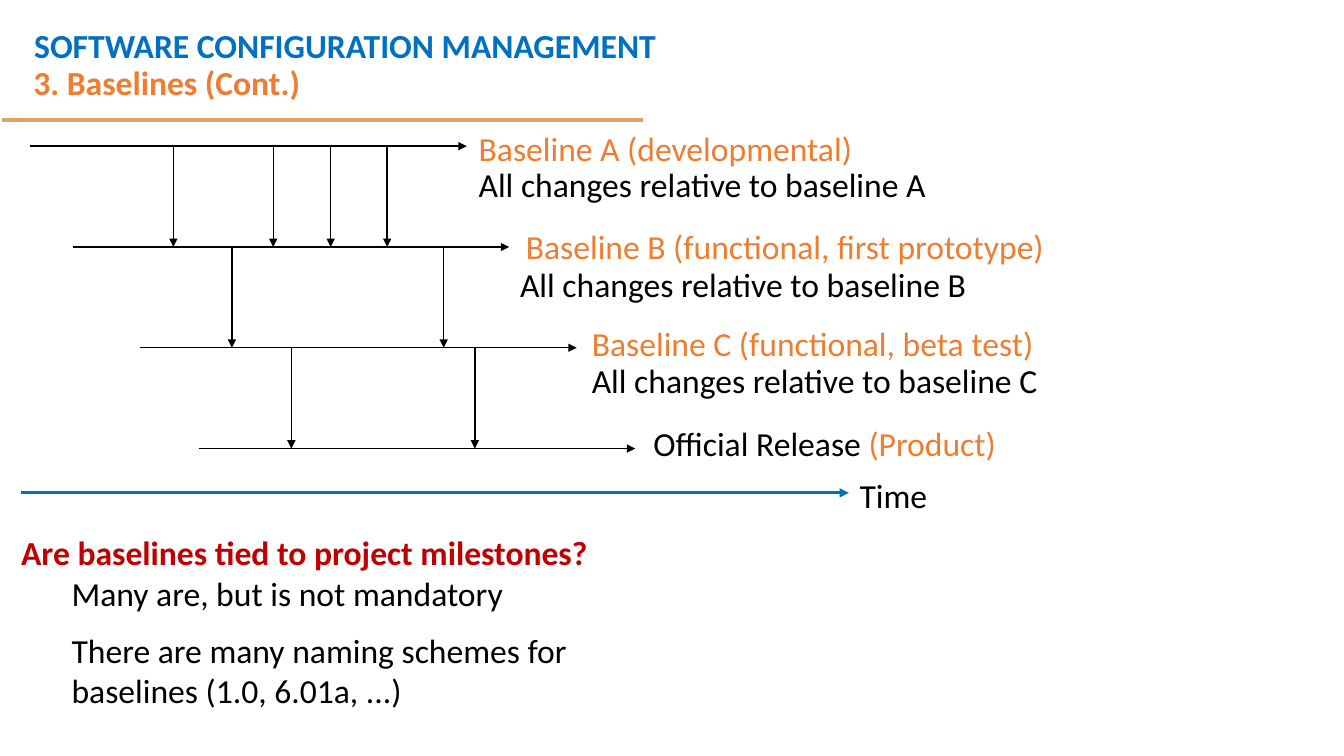
from dataclasses import dataclass

from lxml import etree
from pptx import Presentation
from pptx.dml.color import RGBColor
from pptx.enum.shapes import MSO_CONNECTOR
from pptx.enum.text import MSO_ANCHOR, MSO_AUTO_SIZE, PP_ALIGN
from pptx.oxml.ns import qn
from pptx.util import Inches, Pt

LEFT, CENTER = PP_ALIGN.LEFT, PP_ALIGN.CENTER
TOP, MIDDLE = MSO_ANCHOR.TOP, MSO_ANCHOR.MIDDLE
STRAIGHT = MSO_CONNECTOR.STRAIGHT
NO_AUTOFIT = MSO_AUTO_SIZE.NONE

BLACK, BLUE, ORANGE = "000000", "0070C0", "ED7D31"
RED, SAND = "C00000", "DFA267"

FIRST_ROW, ROW_GAP = 1.45, 1.0
TIMELINE_LENGTH = 4.33
LABEL_HEIGHT = 0.5


@dataclass
class Span:
    text: str
    color: str = BLACK
    bold: bool = False


@dataclass
class Timeline:
    start: float
    drops: tuple[float, ...] = ()


@dataclass
class Label:
    left: float
    top: float
    width: float
    spans: tuple[Span, ...]


@dataclass
class Item:
    span: Span
    level: int = 0
    space_before: float = 0


TIMELINES = (
    Timeline(0.3, (1.72, 2.71, 3.28, 3.84)),
    Timeline(0.72, (2.3, 4.4)),
    Timeline(1.39, (2.89, 4.71)),
    Timeline(1.97),
)

LABELS = (
    Label(4.63, 1.22, 3.94, (Span("Baseline A (developmental)", ORANGE),)),
    Label(4.38, 1.58, 5.17, (Span("All changes relative to baseline A"),)),
    Label(5.09, 2.19, 5.39, (Span("Baseline B (functional, first prototype)", ORANGE),)),
    Label(4.71, 2.57, 5.32, (Span("All changes relative to baseline B"),)),
    Label(5.75, 3.15, 4.62, (Span("Baseline C (functional, beta test)", ORANGE),)),
    Label(5.53, 3.52, 5.1, (Span("All changes relative to baseline C"),)),
    Label(6.36, 4.15, 3.64, (Span("Official Release "), Span("(Product)", ORANGE))),
    Label(8.42, 4.66, 0.88, (Span("Time"),)),
)

ITEMS = (
    Item(Span("Are baselines tied to project milestones?", RED, True)),
    Item(Span("Many are, but is not mandatory"), 1),
    Item(Span("There are many naming schemes for baselines (1.0, 6.01a, ...)"), 1, 12),
)


def rgb(color: str) -> RGBColor:
    return RGBColor.from_string(color)


def place(shape, left: float, top: float, width: float, height: float) -> None:
    shape.left, shape.top = Inches(left), Inches(top)
    shape.width, shape.height = Inches(width), Inches(height)


def prepare_frame(shape, anchor):
    frame = shape.text_frame
    frame.word_wrap = True
    frame.auto_size = NO_AUTOFIT
    frame.vertical_anchor = anchor
    return frame


def write_spans(para, spans: tuple[Span, ...], align=LEFT, line_spacing: float = 1.0) -> None:
    para.alignment = align
    para.line_spacing = line_spacing
    for span in spans:
        run = para.add_run()
        run.text = span.text
        run.font.name = "Calibri"
        run.font.size = Pt(24)
        run.font.bold = span.bold
        run.font.color.rgb = rgb(span.color)


def add_text(page, left: float, top: float, width: float, height: float,
             spans: tuple[Span, ...], anchor=MIDDLE, align=CENTER,
             line_spacing: float = 1.0) -> None:
    box = page.shapes.add_textbox(Inches(left), Inches(top), Inches(width), Inches(height))
    frame = prepare_frame(box, anchor)
    write_spans(frame.paragraphs[0], spans, align, line_spacing)


def add_line(page, start: tuple[float, float], end: tuple[float, float],
             color: str = BLACK, width: float = 1, arrow: bool = True) -> None:
    line = page.shapes.add_connector(STRAIGHT, *map(Inches, start + end))
    line.line.color.rgb = rgb(color)
    line.line.width = Pt(width)
    if arrow:
        etree.SubElement(line.line._get_or_add_ln(), qn("a:tailEnd"), type="triangle")
    etree.SubElement(line._element.spPr, qn("a:effectLst"))


def add_heading(page) -> None:
    add_text(page, 0.24, 0, 6.71, 0.64,
             (Span("SOFTWARE CONFIGURATION MANAGEMENT", BLUE, True),), TOP, LEFT, 1.5)
    add_line(page, (0.02, 1.19), (6.38, 1.19), SAND, 3, arrow=False)
    title = page.shapes.title
    place(title, 0.23, 0.53, 9.39, 0.61)
    frame = prepare_frame(title, MIDDLE)
    write_spans(frame.paragraphs[0], (Span("3. Baselines (Cont.)", ORANGE, True),),
                line_spacing=0.9)


def add_diagram(page) -> None:
    for row, timeline in enumerate(TIMELINES):
        y = FIRST_ROW + row * ROW_GAP
        add_line(page, (timeline.start, y), (timeline.start + TIMELINE_LENGTH, y))
        for x in timeline.drops:
            add_line(page, (x, y), (x, y + ROW_GAP))
    add_line(page, (0.21, 4.89), (8.42, 4.89), BLUE, 2.25)
    for label in LABELS:
        add_text(page, label.left, label.top, label.width, LABEL_HEIGHT, label.spans)


def add_question(page) -> None:
    body = page.placeholders[1]
    place(body, 0.11, 5.23, 6.67, 2.29)
    frame = prepare_frame(body, TOP)
    for index, item in enumerate(ITEMS):
        para = frame.add_paragraph() if index else frame.paragraphs[0]
        para.level = item.level
        properties = para._p.get_or_add_pPr()
        properties.set("marL", str(Inches(0.5 * item.level)))
        properties.set("indent", "0")
        etree.SubElement(properties, qn("a:buNone"))
        para.space_before = Pt(item.space_before)
        write_spans(para, (item.span,))


def main() -> None:
    deck = Presentation()
    deck.slide_width, deck.slide_height = Inches(13.33), Inches(7.5)
    page = deck.slides.add_slide(deck.slide_layouts[1])
    add_heading(page)
    add_diagram(page)
    add_question(page)
    deck.save("out.pptx")


if __name__ == "__main__":
    main()
